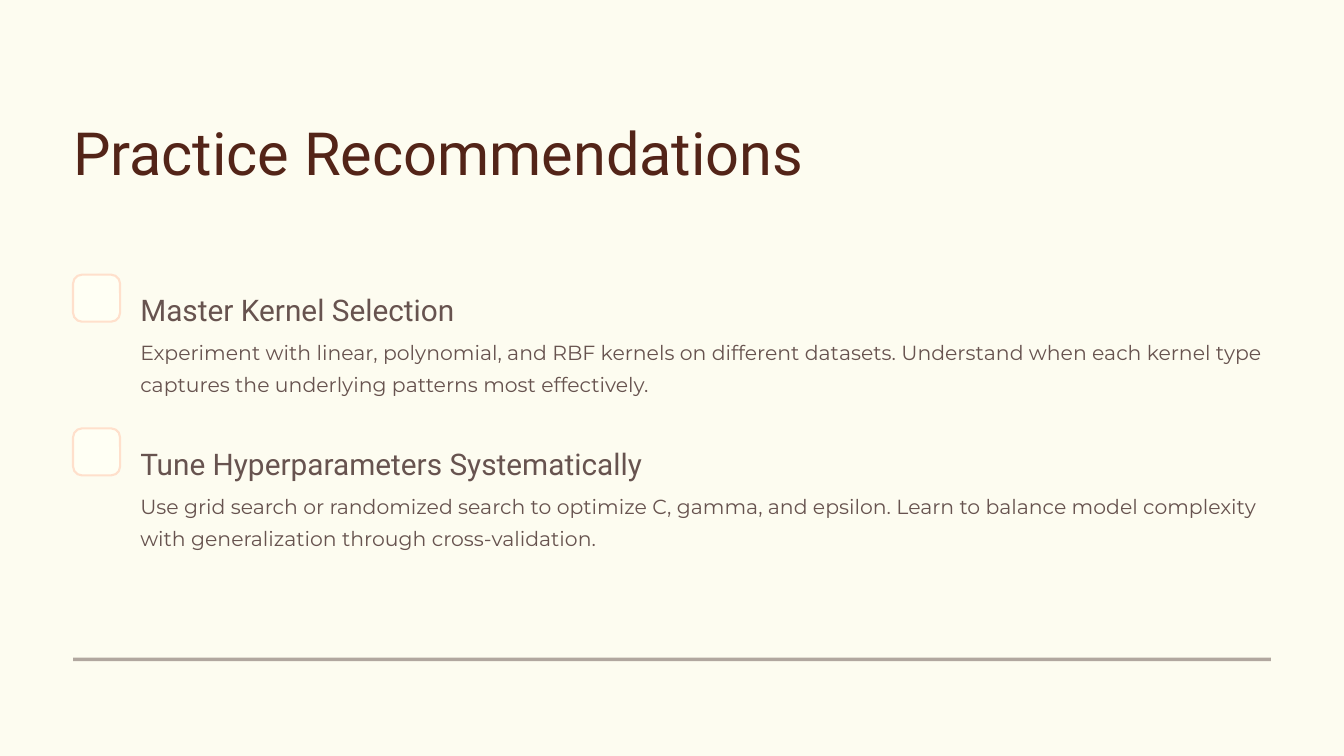
from lxml import etree
from pptx import Presentation
from pptx.dml.color import RGBColor
from pptx.enum.shapes import MSO_SHAPE
from pptx.oxml.ns import qn
from pptx.util import Inches, Pt

COLORS = {
    "page": "FDFCF0",
    "title": "532418",
    "body": "67534F",
    "box": "FFFFF4",
    "edge": "FFE0CC",
}
LEFT, WIDTH = 0.87, 14.26
INDENT = 1.67


def color(name):
    return RGBColor.from_string(COLORS[name])


def add_text(slide, place, text, size, face, tint, spacing, wrap=False):
    frame = slide.shapes.add_textbox(*[Inches(n) for n in place]).text_frame
    frame.margin_left = frame.margin_right = 0
    frame.margin_top = frame.margin_bottom = 0
    frame.word_wrap = wrap
    line = frame.paragraphs[0]
    line.line_spacing = spacing
    run = line.add_run()
    run.text = text
    run.font.size = Pt(size)
    run.font.name = face
    run.font.color.rgb = color(tint)


deck = Presentation()
deck.slide_width, deck.slide_height = Inches(16), Inches(9)
slide = deck.slides.add_slide(deck.slide_layouts[6])
slide.background.fill.solid()
slide.background.fill.fore_color.rgb = color("page")

# Title
add_text(slide, (LEFT, 1.13, 8.75, 0.93), "Practice Recommendations",
         51, "Roboto", "title", 1.3)

# Recommendations
items = [
    ("Master Kernel Selection", 3.85,
     "Experiment with linear, polynomial, and RBF kernels on different datasets. "
     "Understand when each kernel type captures the underlying patterns most effectively."),
    ("Tune Hyperparameters Systematically", 6.03,
     "Use grid search or randomized search to optimize C, gamma, and epsilon. "
     "Learn to balance model complexity with generalization through cross-validation."),
]
for index, (head, width, detail) in enumerate(items):
    top = 3.27 + index * 1.83
    box = slide.shapes.add_shape(MSO_SHAPE.ROUNDED_RECTANGLE, Inches(LEFT),
                                 Inches(top), Inches(0.56), Inches(0.56))
    box.adjustments[0] = 0.19
    box.shadow.inherit = False
    box.fill.solid()
    box.fill.fore_color.rgb = color("box")
    box.line.color.rgb = color("edge")
    box.line.width = Pt(1.8)
    add_text(slide, (INDENT, top + 0.08, width, 0.46), head,
             25.5, "Roboto", "body", 1.29)
    add_text(slide, (INDENT, top + 0.69, 13.46, 0.64), detail,
             17.5, "Montserrat", "body", 1.31, wrap=True)

# Half-transparent divider
rule = slide.shapes.add_shape(MSO_SHAPE.RECTANGLE, Inches(LEFT), Inches(7.83),
                              Inches(WIDTH), Inches(0.04))
rule.shadow.inherit = False
rule.fill.solid()
rule.fill.fore_color.rgb = color("body")
rule.line.fill.background()
tint = rule.fill._xPr.find(qn("a:solidFill"))[0]
etree.SubElement(tint, qn("a:alpha"), val="50000")

deck.save("out.pptx")
